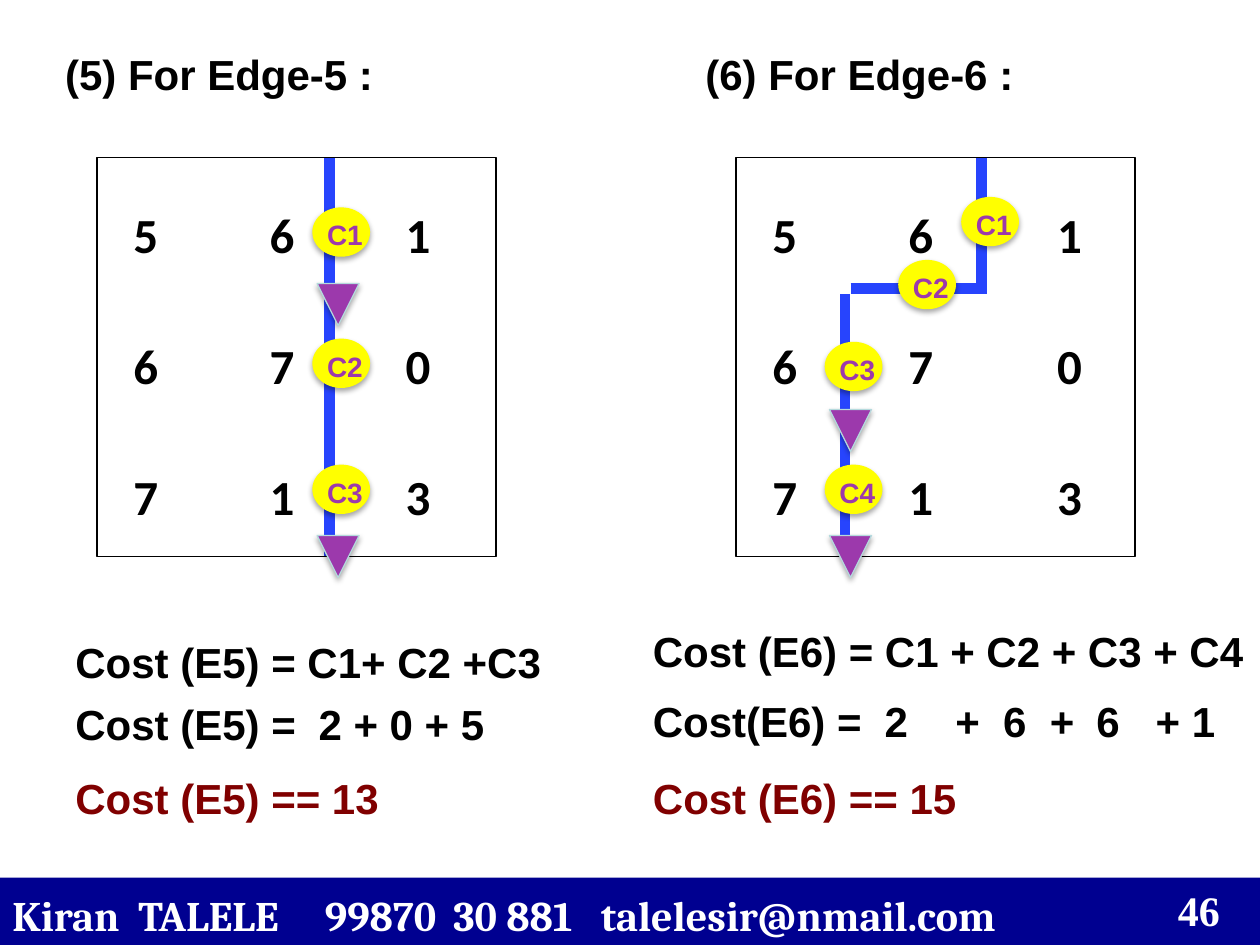
from lxml.etree import SubElement as Sub
from pptx import Presentation
from pptx.dml.color import RGBColor as RGB
from pptx.enum.shapes import MSO_CONNECTOR as LINE, MSO_SHAPE as SHAPE
from pptx.enum.text import MSO_ANCHOR as ANCHOR, PP_ALIGN as ALIGN
from pptx.oxml.ns import qn
from pptx.util import Inches, Pt

HUE = {"ink": "000000", "paper": "FFFFFF", "navy": "000090", "maroon": "800000",
       "edge": "2744FD", "yellow": "FFFF00", "purple": "9C39AC", "rim": "B5DADD"}
COLS, ROWS = 120, 90
WIDE, HIGH = Inches(10), Inches(7.5)


def grid(x, y):
    """Turn columns and rows into lengths on the slide."""
    return int(WIDE * x / COLS), int(HIGH * y / ROWS)


def style(run, size, hue="ink", face="Arial"):
    """Set the bold font of a run."""
    font = run.font
    font.name, font.size, font.bold = face, Pt(size), True
    font.color.rgb = RGB.from_string(HUE[hue])


def set_tabs(para, stops):
    """Give a paragraph left tab stops in inches."""
    tabs = Sub(para._p.get_or_add_pPr(), qn("a:tabLst"))
    for stop in stops:
        Sub(tabs, qn("a:tab"), pos=str(Inches(stop)), algn="l")


def write(shape, text, size=24, hue="ink", face="Arial", stops=(), anchor=ANCHOR.TOP):
    """Put one left-aligned line of text in a shape."""
    frame = shape.text_frame
    frame.text = text
    frame.word_wrap, frame.vertical_anchor = True, anchor
    para = frame.paragraphs[0]
    if stops:
        set_tabs(para, stops)
    para.alignment = ALIGN.LEFT
    style(para.runs[0], size, hue, face)


def add_text(slide, x, y, w, text, **look):
    """Add a text box one line high."""
    box = slide.shapes.add_textbox(*grid(x, y), *grid(w, 6.1))
    write(box, text, **look)


def add_form(slide, kind, x, y, w, h, fill, line, width=0.75):
    """Add a flat preset shape with fill and outline."""
    form = slide.shapes.add_shape(kind, *grid(x, y), *grid(w, h))
    form.shadow.inherit = False
    form.fill.solid()
    form.fill.fore_color.rgb = RGB.from_string(HUE[fill])
    form.line.color.rgb = RGB.from_string(HUE[line])
    form.line.width = Pt(width)
    return form


def add_shade(form):
    """Drop a soft shadow straight below a shape."""
    effects = form._element.spPr.find(qn("a:effectLst"))
    shade = Sub(effects, qn("a:outerShdw"), blurRad="40000", dist="23000",
                dir="5400000", rotWithShape="0")
    tint = Sub(shade, qn("a:srgbClr"), val=HUE["ink"])
    Sub(tint, qn("a:alpha"), val="35000")


def add_panel(slide, x, stops):
    """Add the framed matrix of pixel values."""
    panel = add_form(slide, SHAPE.RECTANGLE, x, 15, 38, 38, "paper", "ink")
    frame = panel.text_frame
    frame.vertical_anchor = ANCHOR.TOP
    for i, row in enumerate(("561", "670", "713")):
        para = frame.add_paragraph() if i else frame.paragraphs[0]
        set_tabs(para, stops)
        para.alignment, para.line_spacing = ALIGN.LEFT, 1.5
        if i:
            para.space_before = Pt(24)
        for text, size in (("\t", 28 if i else 32), ("\t".join(row), 28)):
            run = para.add_run()
            run.text = text
            style(run, size, face="Calibri")


def add_edge(slide, x1, y1, x2, y2):
    """Add a thick segment of the edge."""
    edge = slide.shapes.add_connector(LINE.STRAIGHT, *grid(x1, y1), *grid(x2, y2))
    edge.line.color.rgb = RGB.from_string(HUE["edge"])
    edge.line.width = Pt(6)
    Sub(edge._element.spPr, qn("a:effectLst"))


def add_cost(slide, x, y, text):
    """Add a yellow cost marker."""
    dot = add_form(slide, SHAPE.OVAL, x, y, 5, 4.2, "yellow", "yellow", 3)
    add_shade(dot)
    write(dot, text, size=16, hue="purple", anchor=ANCHOR.MIDDLE)
    frame = dot.text_frame
    frame.word_wrap = False
    frame.margin_left, frame.margin_top = Inches(0.06), Inches(0.04)
    frame.margin_right = frame.margin_bottom = 0
    frame.paragraphs[0].alignment = ALIGN.CENTER


def add_head(slide, x, y):
    """Add a triangle pointing down."""
    head = add_form(slide, SHAPE.ISOSCELES_TRIANGLE, x, y, 4, 4, "purple", "rim")
    head.rotation = 180
    add_shade(head)


def add_graph(slide, x, stops, edges, costs, heads):
    """Add a matrix with its edge, costs and arrowheads."""
    add_panel(slide, x, stops)
    for ends in edges:
        add_edge(slide, *ends)
    for i, spot in enumerate(costs, 1):
        add_cost(slide, *spot, f"C{i}")
    for spot in heads:
        add_head(slide, *spot)


def add_foot(slide):
    """Add the contact bar and the page number."""
    bar = add_form(slide, SHAPE.RECTANGLE, 0, 83.6, 120, 7, "navy", "navy")
    bar.line.fill.background()
    write(bar, "Kiran\tTALELE\t99870\t30 881\ttalelesir@nmail.com", hue="paper",
          face="Cambria", stops=(1, 2.48, 3.5, 4.67), anchor=ANCHOR.MIDDLE)
    bar.text_frame.margin_top = bar.text_frame.margin_bottom = 0
    add_text(slide, 111, 83.6, 8, "46", hue="paper", face="Times New Roman")


def main():
    """Build the slide and save it."""
    deck = Presentation()
    deck.slide_width, deck.slide_height = WIDE, HIGH
    slide = deck.slides.add_slide(deck.slide_layouts[5])
    title = slide.shapes.title
    title.left, title.top = grid(5, 4)
    title.width, title.height = grid(35, 6.1)
    write(title, "(5) For Edge-5 :", anchor=ANCHOR.MIDDLE)
    add_text(slide, 66, 4, 35, "(6) For Edge-6 :", anchor=ANCHOR.MIDDLE)

    add_graph(slide, 9.25, (0.19, 1.27, 2.35), [(31.4, 15, 31.4, 53)],
              [(30, y) for y in (20, 32.5, 44.5)], [(30.2, 27), (30.2, 51)])
    add_graph(slide, 70.1, (0.19, 1.27, 2.45),
              [(93.5, 15, 93.5, 28), (80.5, 28, 80.5, 53), (81, 27.5, 94, 27.5)],
              [(91.8, 19), (85.8, 25), (78.8, 32.8), (78.8, 44.5)],
              [(79, 39), (79, 51)])

    add_text(slide, 6, 60, 50, "Cost (E5) = C1+ C2 +C3")
    add_text(slide, 6, 65.9, 50, "Cost (E5) =\t2 + 0 + 5", stops=(1.93,))
    add_text(slide, 6, 73, 50, "Cost (E5) == 13", hue="maroon")
    add_text(slide, 61, 59, 61, "Cost (E6) = C1 + C2 + C3 + C4")
    add_text(slide, 61, 65.6, 61, "Cost(E6) =\t2\t+\t6\t+\t6\t+ 1",
             stops=(1.84, 2.4, 2.78, 3.15, 3.52, 3.99))
    add_text(slide, 61, 73, 50, "Cost (E6) == 15", hue="maroon")
    add_foot(slide)
    deck.save("out.pptx")


if __name__ == "__main__":
    main()
